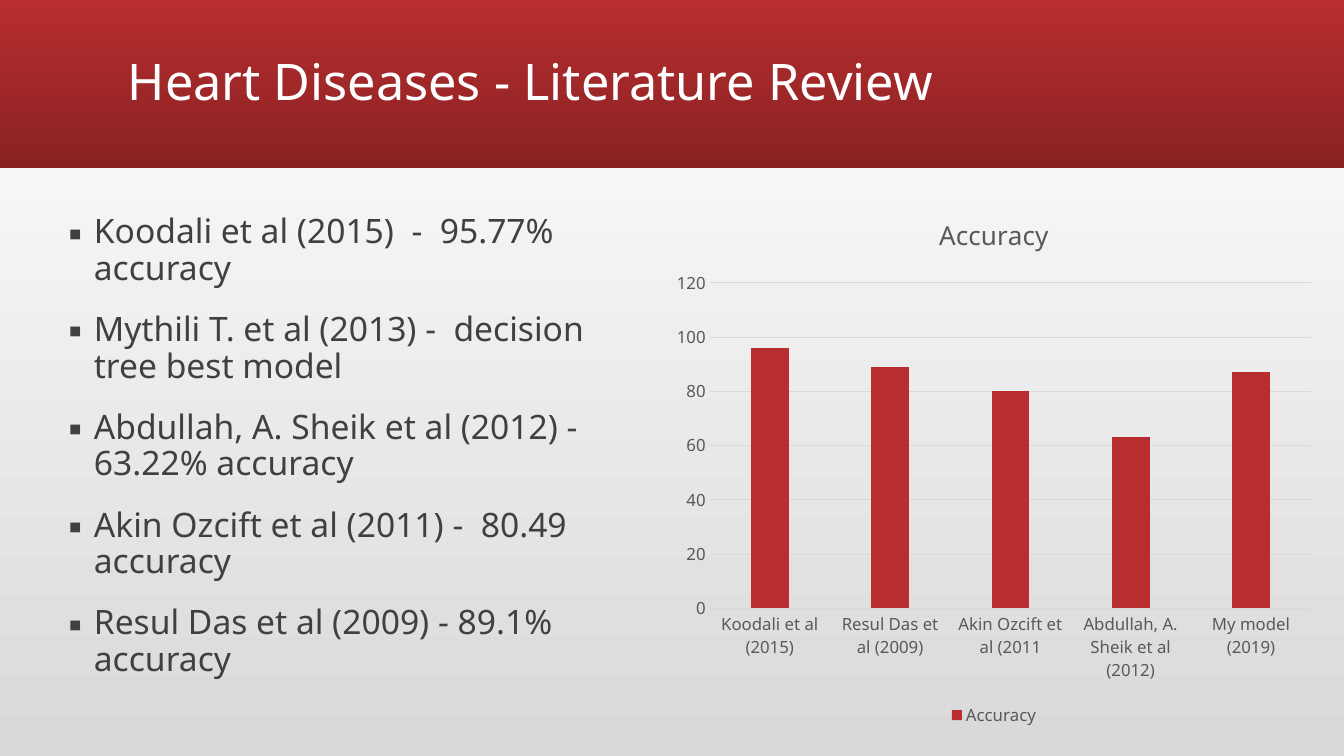
from lxml import etree
from pptx import Presentation
from pptx.chart.data import CategoryChartData
from pptx.dml.color import RGBColor
from pptx.enum.chart import XL_CHART_TYPE, XL_LEGEND_POSITION, XL_TICK_MARK
from pptx.enum.shapes import MSO_SHAPE
from pptx.enum.text import MSO_ANCHOR, MSO_AUTO_SIZE, PP_ALIGN
from pptx.oxml.ns import qn
from pptx.util import Pt

RECT = MSO_SHAPE.RECTANGLE
COLUMN = XL_CHART_TYPE.COLUMN_CLUSTERED
BOTTOM = XL_LEGEND_POSITION.BOTTOM
NO_TICK = XL_TICK_MARK.NONE
MIDDLE, TOP = MSO_ANCHOR.MIDDLE, MSO_ANCHOR.TOP
NO_FIT = MSO_AUTO_SIZE.NONE
LEFT = PP_ALIGN.LEFT

FACE = "Noto Sans"
RED, DARK_RED, WHITE = "B82D2F", "8A2223", "FFFFFF"
INK, GREY, PALE = "404040", "595959", "D9D9D9"
WIDE, HIGH = 960, 540

STUDIES = [
    "Koodali et al (2015)  -  95.77% accuracy",
    "Mythili T. et al (2013) -  decision tree best model",
    "Abdullah, A. Sheik et al (2012) - 63.22% accuracy",
    "Akin Ozcift et al (2011) -  80.49 accuracy",
    "Resul Das et al (2009) - 89.1% accuracy",
]
SCORES = {
    "Koodali et al (2015)": 96,
    "Resul Das et al (2009)": 89,
    "Akin Ozcift et al (2011": 80,
    "Abdullah, A. Sheik et al (2012)": 63,
    "My model (2019)": 87,
}


def paint(color, code):
    """Set a colour from a hex string."""
    color.rgb = RGBColor.from_string(code)


def style(font, size, code):
    """Set face, size and colour of a font."""
    font.name, font.size, font.bold = FACE, Pt(size), False
    paint(font.color, code)


def blend(fill, start, end, angle):
    """Fill with a two-colour gradient at a counter-clockwise angle."""
    fill.gradient()
    fill.gradient_angle = angle
    for stop, code, spot in zip(fill.gradient_stops, (start, end), (0, 1)):
        paint(stop.color, code)
        stop.position = spot


def rule(line, code):
    """Draw a thin line in one colour."""
    line.width = Pt(0.75)
    paint(line.color, code)


def add_bullet(para, indent):
    """Give a paragraph a small square bullet and a hanging indent."""
    props = para._p.get_or_add_pPr()
    props.set("marL", str(Pt(indent)))
    props.set("indent", str(-Pt(indent)))
    etree.SubElement(props, qn("a:buFont"), typeface=FACE)
    etree.SubElement(props, qn("a:buChar"), char="▪")


def add_header(slide, left, top, width, height):
    """Place the red band with the slide title on it."""
    band = slide.shapes.add_shape(
        RECT, Pt(left), Pt(top), Pt(width), Pt(height))
    band.shadow.inherit = False
    blend(band.fill, RED, DARK_RED, 270)
    band.line.fill.background()

    title = slide.shapes.title
    title.element.addprevious(band.element)
    title.left, title.top = Pt(left + 84), Pt(top + 8)
    title.width, title.height = Pt(width - 168), Pt(height - 16)
    frame = title.text_frame
    frame.text = "Heart Diseases - Literature Review"
    frame.auto_size, frame.vertical_anchor = NO_FIT, MIDDLE
    para = frame.paragraphs[0]
    para.alignment, para.line_spacing = LEFT, 0.9
    style(para.font, 36, WHITE)


def add_list(slide, left, top, width, height):
    """Place the bulleted list of studies."""
    box = slide.shapes.add_textbox(
        Pt(left), Pt(top), Pt(width), Pt(height))
    frame = box.text_frame
    frame.word_wrap, frame.vertical_anchor = True, TOP
    frame.text = "\n".join(STUDIES)
    for para in frame.paragraphs:
        para.line_spacing, para.space_before = 0.9, Pt(18)
        style(para.font, 24, INK)
        add_bullet(para, 18)


def add_scores(slide, left, top, width, height):
    """Place the column chart of accuracy by study."""
    data = CategoryChartData()
    data.categories = list(SCORES)
    data.add_series("Accuracy", list(SCORES.values()))
    chart = slide.shapes.add_chart(
        COLUMN, Pt(left), Pt(top), Pt(width), Pt(height), data).chart
    style(chart.font, 12, GREY)

    chart.has_title = True
    head = chart.chart_title.text_frame
    head.text = "Accuracy"
    style(head.paragraphs[0].font, 18.6, GREY)
    chart.has_legend = True
    chart.legend.position = BOTTOM
    chart.legend.include_in_layout = False
    style(chart.legend.font, 12, GREY)

    for axis in (chart.category_axis, chart.value_axis):
        axis.major_tick_mark = axis.minor_tick_mark = NO_TICK
        style(axis.tick_labels.font, 12, GREY)
    rule(chart.category_axis.format.line, PALE)
    scale = chart.value_axis
    scale.minimum_scale, scale.maximum_scale, scale.major_unit = 0, 120, 20
    scale.format.line.fill.background()
    rule(scale.major_gridlines.format.line, PALE)

    plot = chart.plots[0]
    plot.gap_width, plot.overlap, plot.vary_by_categories = 219, -27, False
    fill = plot.series[0].format.fill
    fill.solid()
    paint(fill.fore_color, RED)


def main():
    """Build and save the slide."""
    deck = Presentation()
    deck.slide_width, deck.slide_height = Pt(WIDE), Pt(HIGH)
    slide = deck.slides.add_slide(deck.slide_layouts.get_by_name("Title Only"))
    blend(slide.background.fill, PALE, WHITE, 90)
    add_header(slide, 0, 0, WIDE, 120)
    add_list(slide, 42, 150, 432, 354)
    add_scores(slide, 474, 138, 472, 384)
    deck.save("out.pptx")


main()
